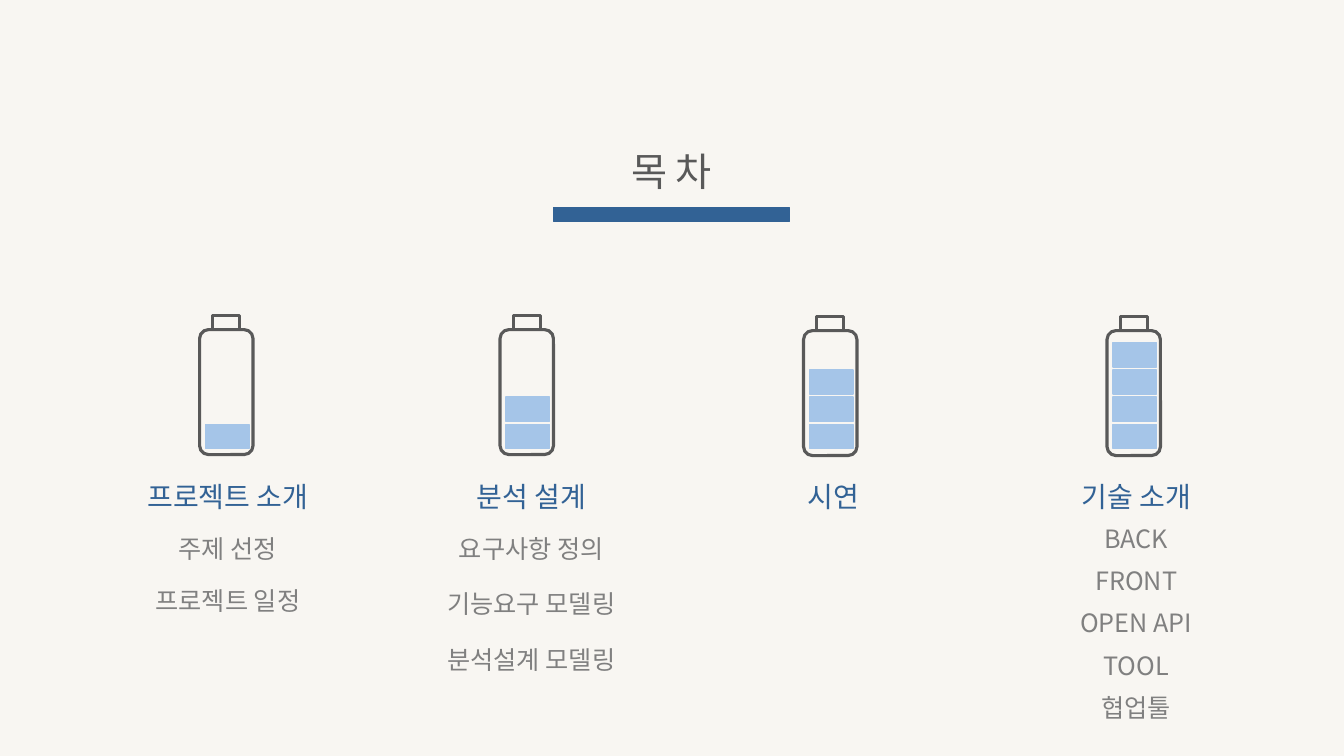
from pptx import Presentation
from pptx.dml.color import RGBColor
from pptx.enum.shapes import MSO_SHAPE
from pptx.enum.text import MSO_ANCHOR, PP_ALIGN
from pptx.util import Inches, Pt

FONT = "Noto Sans CJK KR"
CREAM = RGBColor(0xF8, 0xF6, 0xF2)
NAVY = RGBColor(0x32, 0x62, 0x95)
SKY = RGBColor(0xA5, 0xC5, 0xE8)
DARK = RGBColor(0x59, 0x59, 0x59)
GRAY = RGBColor(0x80, 0x80, 0x80)

WIDE = 3  # width of a text column

# column left, battery left, battery top, heading, first item top, item step, items
PARTS = [
    (0.76, 1.98, 3.13, "프로젝트 소개", 5.24, 0.52, ["주제 선정", "프로젝트 일정"]),
    (3.77, 4.96, 3.13, "분석 설계", 5.24, 0.55,
     ["요구사항 정의", "기능요구 모델링", "분석설계 모델링"]),
    (6.77, 7.97, 3.14, "시연", 5.24, 0.55, []),
    (9.77, 10.98, 3.14, "기술 소개", 5.14, 0.42,
     ["BACK", "FRONT", "OPEN API", "TOOL", "협업툴"]),
]


def add_text(slide, text, left, top, high, size=18, color=GRAY):
    box = slide.shapes.add_textbox(Inches(left), Inches(top), Inches(WIDE), Inches(high))
    frame = box.text_frame
    frame.word_wrap = True
    frame.vertical_anchor = MSO_ANCHOR.MIDDLE
    para = frame.paragraphs[0]
    para.alignment = PP_ALIGN.CENTER
    run = para.add_run()
    run.text = text
    run.font.name = FONT
    run.font.size = Pt(size)
    run.font.color.rgb = color


def add_box(slide, left, top, wide, high, line, fill=None, weight=1,
            kind=MSO_SHAPE.RECTANGLE):
    box = slide.shapes.add_shape(kind, Inches(left), Inches(top), Inches(wide), Inches(high))
    box.shadow.inherit = False
    if fill is None:
        box.fill.background()
    else:
        box.fill.solid()
        box.fill.fore_color.rgb = fill
    box.line.color.rgb = line
    box.line.width = Pt(weight)


def add_title(slide, left, top):
    add_text(slide, "목 차", left, top, 0.57, size=28, color=DARK)
    add_box(slide, left + 0.33, top + 0.65, 2.34, 0.14, NAVY, fill=NAVY)


def add_battery(slide, left, top, level):
    """Draw a battery with the given number of charged cells."""
    add_box(slide, left, top + 0.14, 0.53, 1.24, DARK, weight=2.25,
            kind=MSO_SHAPE.ROUNDED_RECTANGLE)
    add_box(slide, left + 0.13, top, 0.27, 0.14, DARK, weight=2.25)
    for cell in range(level):
        add_box(slide, left + 0.06, 4.21 - 0.27 * cell, 0.43, 0.24, SKY, fill=SKY)


def add_part(slide, level, left, cell_left, cell_top, head, top, step, items):
    """Place one column: battery, heading and its items."""
    add_battery(slide, cell_left, cell_top, level)
    add_text(slide, head, left, 4.7, 0.44, size=20, color=NAVY)
    for row, item in enumerate(items):
        add_text(slide, item, left, top + step * row, 0.4)


def main():
    deck = Presentation()
    deck.slide_width = Inches(13.33)
    deck.slide_height = Inches(7.5)
    slide = deck.slides.add_slide(deck.slide_layouts[6])
    slide.background.fill.solid()
    slide.background.fill.fore_color.rgb = CREAM
    add_title(slide, 5.16, 1.41)
    for level, part in enumerate(PARTS, 1):
        add_part(slide, level, *part)
    deck.save("out.pptx")


if __name__ == "__main__":
    main()
